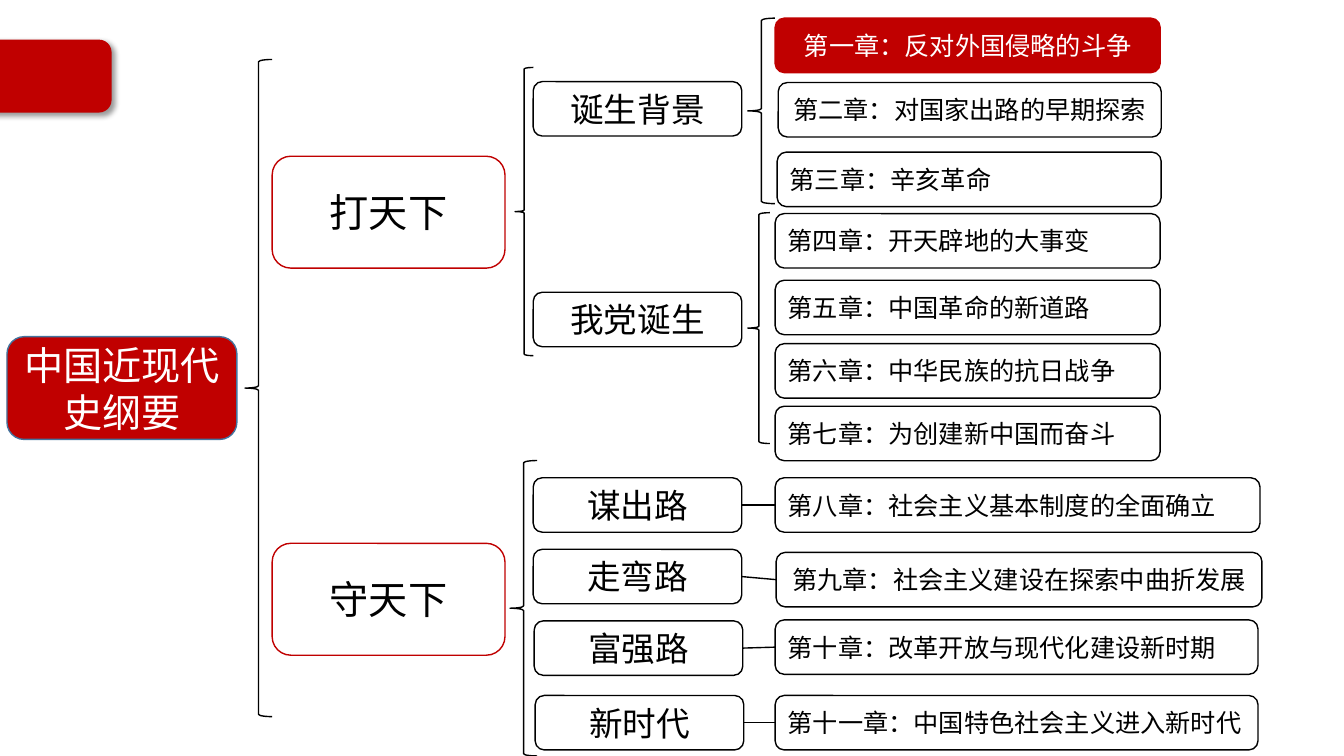
from lxml.etree import SubElement
from pptx import Presentation
from pptx.dml.color import RGBColor
from pptx.enum.shapes import MSO_CONNECTOR as LINE, MSO_SHAPE as SHAPE
from pptx.enum.text import MSO_ANCHOR as ANCHOR, PP_ALIGN as ALIGN
from pptx.oxml.ns import qn
from pptx.util import Pt

FONT = "Noto Sans CJK SC"
RED, BLACK, WHITE, BLUE = "C00000", "000000", "FFFFFF", "43739E"
BRANCH_W, BRANCH_H = 166.3, 79.9
TOPIC_X, TOPIC_W, ROW_H = 186.5, 149, 38.9
CHAPTER_X = 359.3

# Topic: (text, dx, y); chapter: (text, dx, y, width, format values)
CENTRED = {"align": ALIGN.CENTER}
ACTIVE = {"align": ALIGN.CENTER, "fill": RED, "line": RED, "color": WHITE}
UPPER = {
    "name": "打天下", "name_y": 98.6,
    "braces": [(173.5, 35.2, 13, 205.9), (339.8, 0, 19.4, 132.5),
               (339.8, 138.9, 15.8, 164.9)],
    "topics": [("诞生背景", 0, 45.3), ("我党诞生", 0, 195.8)],
    "chapters": [
        ("第一章：反对外国侵略的斗争", 0, 0, 275, ACTIVE),
        ("第二章：对国家出路的早期探索", 2.2, 46, 273.6, CENTRED),
        ("第三章：辛亥革命", 1.4, 95.7, 274.3, {}),
        ("第四章：开天辟地的大事变", 0, 139.6, 275, {}),
        ("第五章：中国革命的新道路", 0, 187.2, 275, {}),
        ("第六章：中华民族的抗日战争", 0, 232.5, 275, {}),
        ("第七章：为创建新中国而奋斗", 0, 277.2, 275, {}),
    ],
}
LOWER = {
    "name": "守天下", "name_y": 59.1,
    "braces": [(169.9, 0, 19.4, 211)],
    "topics": [("谋出路", 0, 12.3), ("走弯路", 0, 63.4),
               ("富强路", 0.7, 114.5), ("新时代", 1.4, 167.8)],
    "chapters": [
        ("第八章：社会主义基本制度的全面确立", 0, 12.3, 346.3, {}),
        ("第九章：社会主义建设在探索中曲折发展", 0.7, 65.6, 347, CENTRED),
        ("第十章：改革开放与现代化建设新时期", 0, 113.8, 344.9, {}),
        ("第十一章：中国特色社会主义进入新时代", 0, 167.8, 344.9, {}),
    ],
}


def rgb(value):
    return RGBColor.from_string(value)


def add_outline(s, kind, box, line):
    sp = s.shapes.add_shape(kind, *(Pt(v) for v in box))
    sp.shadow.inherit = False
    sp.line.color.rgb = rgb(line)
    sp.line.width = Pt(1)
    return sp


def add_box(s, box, text="", size=18, fill=WHITE, line=BLACK, color=BLACK,
            align=ALIGN.CENTER):
    sp = add_outline(s, SHAPE.ROUNDED_RECTANGLE, box, line)
    sp.fill.solid()
    sp.fill.fore_color.rgb = rgb(fill)
    if text:
        tf = sp.text_frame
        for name, value in {"word_wrap": True,
                            "vertical_anchor": ANCHOR.MIDDLE}.items():
            setattr(tf, name, value)
        p = tf.paragraphs[0]
        p.alignment = align
        r = p.add_run()
        r.text = text
        for name, value in {"name": FONT, "size": Pt(size)}.items():
            setattr(r.font, name, value)
        r.font.color.rgb = rgb(color)
        SubElement(r.font._element, qn("a:ea"), typeface=FONT)
    return sp


def add_brace(s, box):
    add_outline(s, SHAPE.LEFT_BRACE, box, BLACK).fill.background()


def add_link(s, chapter, topic):
    cx = s.shapes.add_connector(LINE.STRAIGHT, 0, 0, 0, 0)
    cx.begin_connect(chapter, 1)
    cx.end_connect(topic, 3)
    cx.line.color.rgb = rgb(BLACK)
    cx.line.width = Pt(1)
    SubElement(cx._element.spPr, qn("a:effectLst"))


def draw_tab(s, box):
    """Red tab at the slide's left edge, with a soft shadow."""
    sp = add_box(s, box, fill=RED, line=RED)
    effects = sp._element.spPr.find(qn("a:effectLst"))
    shadow = SubElement(effects, qn("a:outerShdw"), blurRad=str(Pt(4)),
                        dist=str(Pt(3)), dir="2700000", algn="tl",
                        rotWithShape="0")
    color = SubElement(shadow, qn("a:srgbClr"), val=BLACK)
    SubElement(color, qn("a:alpha"), val="40000")


def draw_root(s, box):
    x, y, w, h = box
    add_box(s, box, "中国近现代史纲要", 28, RED, BLUE, WHITE)
    add_brace(s, (x + w + 5.8, y - 198, 19.4, 469.4))


def draw_branch(s, left, top, branch):
    """Draw a branch with its topics and chapters; return both lists."""
    add_box(s, (left, top + branch["name_y"], BRANCH_W, BRANCH_H),
            branch["name"], 28, line=RED)
    for x, y, w, h in branch["braces"]:
        add_brace(s, (left + x, top + y, w, h))
    topics = [add_box(s, (left + TOPIC_X + dx, top + y, TOPIC_W, ROW_H), text, 24)
              for text, dx, y in branch["topics"]]
    chapters = [add_box(s, (left + CHAPTER_X + dx, top + y, w, ROW_H), text,
                        **{"align": ALIGN.LEFT, **style})
                for text, dx, y, w, style in branch["chapters"]]
    return topics, chapters


def main():
    prs = Presentation()
    prs.slide_width, prs.slide_height = Pt(960), Pt(540)
    s = prs.slides.add_slide(prs.slide_layouts[6])
    draw_tab(s, (-13, 28.8, 92.2, 51.1))
    draw_root(s, (5, 240.5, 164.2, 73.4))
    draw_branch(s, 194.4, 13, UPPER)
    topics, chapters = draw_branch(s, 194.4, 329, LOWER)
    for topic, chapter in zip(topics, chapters):
        add_link(s, chapter, topic)
    prs.save("out.pptx")


if __name__ == "__main__":
    main()
